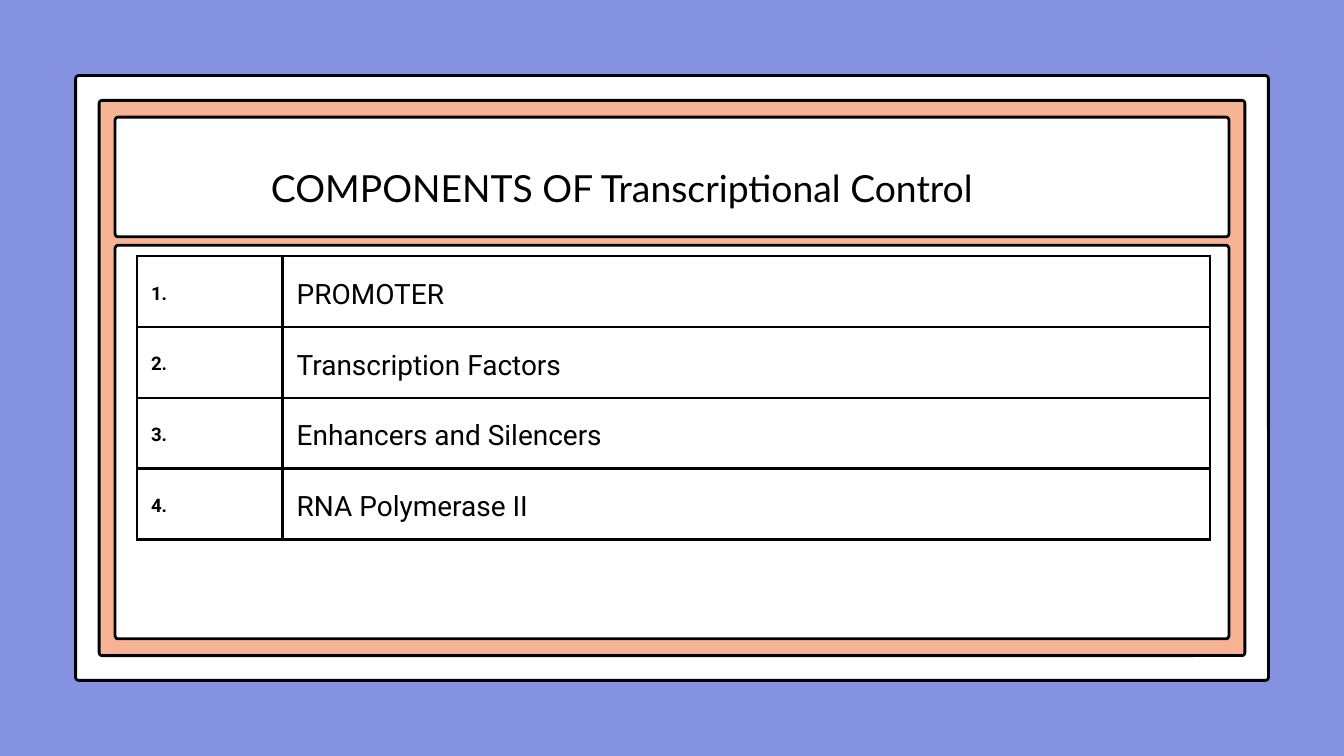
from lxml import etree
from pptx import Presentation
from pptx import util as u
from pptx.dml import color
from pptx.enum import shapes, text
from pptx.oxml import ns

UNIT = 0.125
COLS, ROWS = 160, 90
INK, WHITE = "000000", "FFFFFF"
PANELS = [
    (9, 9, 142, 72, WHITE),
    (11.8, 11.95, 136.4, 66.1, "F7B495"),
    (13.7, 13.95, 132.6, 14.25, WHITE),
    (13.7, 29.2, 132.6, 46.85, WHITE),
]
PARTS = ["PROMOTER", "Transcription Factors", "Enhancers and Silencers", "RNA Polymerase II"]
TITLE = {"name": "Lato", "size": u.Pt(40)}
NUMBER = {"name": "Roboto", "size": u.Pt(20), "bold": True}
LABEL = {"name": "Roboto", "size": u.Pt(30), "bold": False}


def grid(*units):
    """Turn grid units into slide lengths."""
    return [u.Inches(n * UNIT) for n in units]


def paint(form, tone):
    """Give a fill or a font colour format a solid hex colour."""
    form.rgb = color.RGBColor.from_string(tone)


def write(frame, words, style, align=text.PP_ALIGN.LEFT):
    """Put one styled paragraph into a text frame."""
    para = frame.paragraphs[0]
    para.alignment = align
    para.line_spacing = u.Pt(style["size"].pt * 1.4)
    run = para.add_run()
    run.text = words
    for key, value in style.items():
        setattr(run.font, key, value)
    paint(run.font.color, INK)


def panel(slide, left, top, width, height, tone):
    """Draw an outlined panel with slightly rounded corners."""
    box = slide.shapes.add_shape(
        shapes.MSO_SHAPE.ROUNDED_RECTANGLE, *grid(left, top, width, height))
    box.adjustments[0] = 0.36 / min(width, height)
    box.shadow.inherit = False
    box.fill.solid()
    paint(box.fill.fore_color, tone)
    box.line.width = u.Pt(3)
    paint(box.line.color, INK)


def title(slide, words):
    """Add the centred heading."""
    box = slide.shapes.add_textbox(*grid(19.75, 18.8, 108.55, 12.15))
    frame = box.text_frame
    frame.word_wrap = True
    for side in ("left", "top", "right", "bottom"):
        setattr(frame, "margin_" + side, 0)
    write(frame, words, TITLE, text.PP_ALIGN.CENTER)


def border(cell):
    """Rule all four sides of a table cell."""
    props = cell._tc.get_or_add_tcPr()
    for spot, side in enumerate("LRTB"):
        line = etree.Element(ns.qn("a:ln" + side), w=str(u.Pt(3)))
        fill = etree.SubElement(line, ns.qn("a:solidFill"))
        etree.SubElement(fill, ns.qn("a:srgbClr"), val=INK)
        props.insert(spot, line)


def fill_cell(cell, words, style):
    """Write a table cell with its margins, borders and no fill."""
    cell.fill.background()
    cell.vertical_anchor = text.MSO_ANCHOR.MIDDLE
    for side in ("left", "top", "right", "bottom"):
        setattr(cell, "margin_" + side, u.Inches(0.21))
    write(cell.text_frame, words, style)
    border(cell)


def parts_table(slide, items):
    """Add the numbered table of components."""
    widths = grid(17.35, 110.4)
    height, = grid(8.43)
    left, top = grid(16.3, 30.5)
    table = slide.shapes.add_table(
        len(items), 2, left, top, sum(widths), height * len(items)).table
    table.first_row = table.horz_banding = False
    for column, width in zip(table.columns, widths):
        column.width = width
    for index, item in enumerate(items):
        table.rows[index].height = height
        fill_cell(table.cell(index, 0), f"{index + 1}.", NUMBER)
        fill_cell(table.cell(index, 1), item, LABEL)


def main():
    """Build the slide and save it."""
    deck = Presentation()
    deck.slide_width, deck.slide_height = grid(COLS, ROWS)
    slide = deck.slides.add_slide(deck.slide_layouts[6])
    slide.background.fill.solid()
    paint(slide.background.fill.fore_color, "8592E1")
    for spot in PANELS:
        panel(slide, *spot)
    parts_table(slide, PARTS)
    title(slide, "COMPONENTS OF Transcriptional Control")
    deck.save("out.pptx")


if __name__ == "__main__":
    main()
